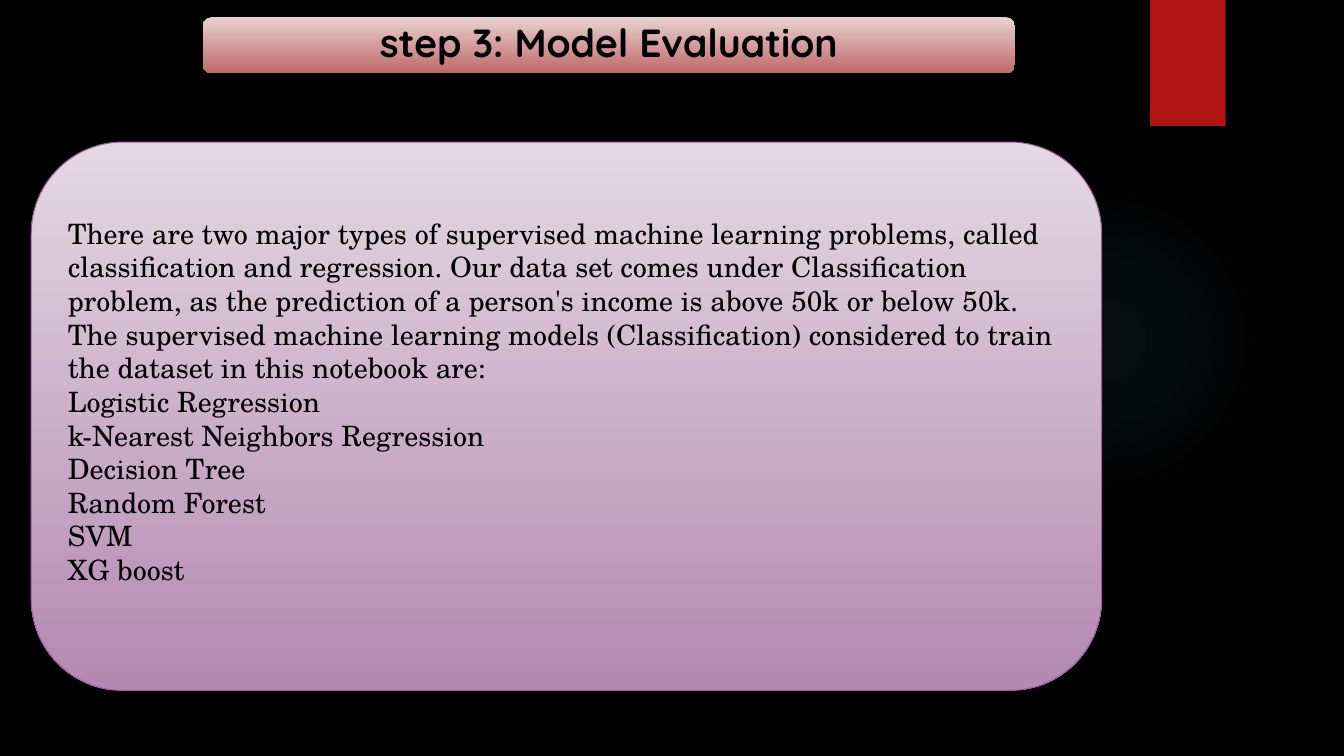
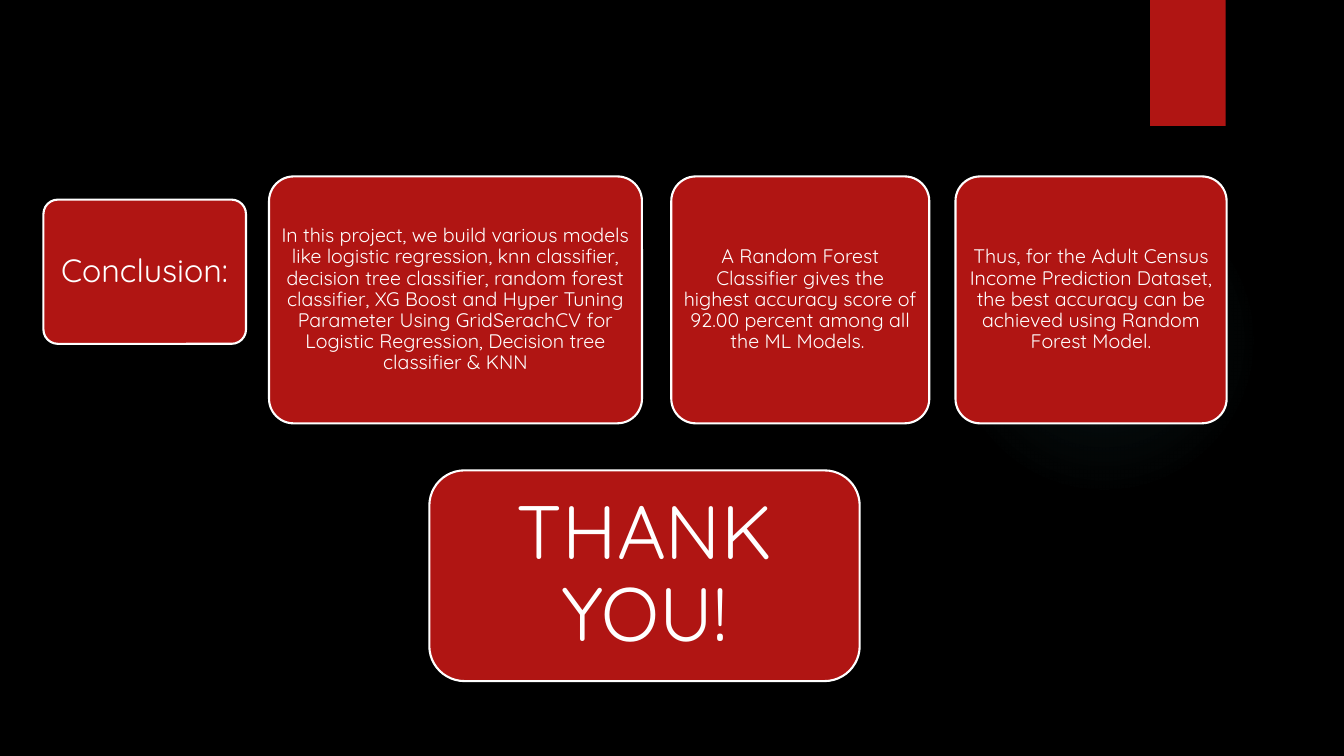
from pptx import Presentation
from pptx.dml.color import RGBColor
from pptx.enum import shapes, text
from pptx.oxml import parse_xml
from pptx.oxml import ns
from pptx.util import Pt

BLACK = RGBColor(0x00, 0x00, 0x00)
WHITE = RGBColor(0xFF, 0xFF, 0xFF)
RED = RGBColor(0xB0, 0x15, 0x13)
TEAL = RGBColor(0x50, 0xB9, 0xC1)
PINK = RGBColor(0xE8, 0xD1, 0xD0)
ROSE = RGBColor(0xC0, 0x69, 0x69)
LILAC = RGBColor(0xE4, 0xD8, 0xE3)
MAUVE = RGBColor(0xB4, 0x88, 0xB2)
PURPLE = RGBColor(0x9E, 0x5E, 0x9B)
SANS = "Quicksand"
SERIF = "TeX Gyre Schola"
ROUND = shapes.MSO_SHAPE.ROUNDED_RECTANGLE


def add_box(s, kind, at, colors, line=None, weight=1.5):
    sp = s.shapes.add_shape(kind, *[Pt(v) for v in at])
    sp.shadow.inherit = False
    if len(colors) == 1:
        sp.fill.solid()
        sp.fill.fore_color.rgb = colors[0]
    else:
        sp.fill.gradient()
        sp.fill.gradient_angle = 270
        for stop, color in zip(sp.fill.gradient_stops, colors):
            stop.color.rgb = color
    if line is None:
        sp.line.fill.background()
    else:
        sp.line.color.rgb = line
        sp.line.width = Pt(weight)
    return sp


def write(sp, lines, size, color, font=SANS, bold=False, spacing=0.9,
          align=text.PP_ALIGN.CENTER, insets=(2, 1.5, 2, 1.5)):
    tf = sp.text_frame
    tf.word_wrap = True
    tf.auto_size = text.MSO_AUTO_SIZE.NONE
    tf.vertical_anchor = text.MSO_ANCHOR.MIDDLE
    tf.margin_left, tf.margin_top, tf.margin_right, tf.margin_bottom = [Pt(v) for v in insets]
    for i, line in enumerate(lines):
        p = tf.paragraphs[0] if i == 0 else tf.add_paragraph()
        p.alignment = align
        p.line_spacing = spacing
        r = p.add_run()
        r.text = line
        r.font.name = font
        r.font.size = Pt(size)
        r.font.bold = bold
        r.font.color.rgb = color


prs = Presentation()
prs.slide_width, prs.slide_height = Pt(960), Pt(540)
layout = prs.slide_layouts[5]
background = prs.slide_master.background.fill
background.solid()
background.fore_color.rgb = BLACK

evaluation = prs.slides.add_slide(layout)
conclusion = prs.slides.add_slide(layout)

glow = add_box(evaluation, shapes.MSO_SHAPE.OVAL, (677.5, 131.8, 221.8, 221.8), [TEAL])
stops = "".join(
    f'<a:gs pos="{pos * 1000}"><a:srgbClr val="{TEAL}"><a:alpha val="{alpha * 1000}"/></a:srgbClr></a:gs>'
    for pos, alpha in [(0, 7), (36, 6), (69, 0)])
radial = parse_xml(
    f'<a:gradFill {ns.nsdecls("a")} rotWithShape="1"><a:gsLst>{stops}</a:gsLst><a:path path="circle">'
    '<a:fillToRect l="50000" t="50000" r="50000" b="50000"/></a:path></a:gradFill>')
solid = glow.element.spPr.find(ns.qn("a:solidFill"))
glow.element.spPr.replace(solid, radial)
tab = add_box(evaluation, shapes.MSO_SHAPE.RECTANGLE, (821.5, 0, 54, 90), [RED])
for shape_id, sp in enumerate([glow, tab], 101):
    sp.element.nvSpPr.cNvPr.set("id", str(shape_id))
    layout.shapes.element.append(sp.element)

bar = (144.7, 12.2, 580.3, 40.3)
label = (31, 142.6, 144.7, 103)
add_box(evaluation, ROUND, bar, [PINK, ROSE])
add_box(conclusion, ROUND, label, [RED], WHITE).adjustments[0] = 0.1
titles = [
    (evaluation, bar, "step 3: Model Evaluation", 28, BLACK, True),
    (conclusion, label, "Conclusion:", 23, WHITE, False),
]
for s, at, line, size, color, bold in titles:
    title = s.shapes.title
    title.left, title.top, title.width, title.height = [Pt(v) for v in at]
    write(title, [line], size, color, bold=bold)
    s.shapes.element.append(title.element)

panel = add_box(evaluation, ROUND, (22.3, 101.5, 764.6, 391.7), [LILAC, MAUVE], PURPLE, 0.75)
write(panel, [
    "There are two major types of supervised machine learning problems, called classification "
    "and regression. Our data set comes under Classification problem, as the prediction of a "
    "person's income is above 50k or below 50k. The supervised machine learning models "
    "(Classification) considered to train the dataset in this notebook are:",
    "Logistic Regression",
    "k-Nearest Neighbors Regression",
    "Decision Tree",
    "Random Forest",
    "SVM",
    "XG boost",
], 20, BLACK, SERIF, spacing=1.0, align=text.PP_ALIGN.LEFT, insets=(7.2, 3.6, 7.2, 25))

cards = [
    (192.2, 266.4, "In this project, we build various models like logistic regression, knn "
     "classifier, decision tree classifier, random forest classifier, XG Boost and Hyper Tuning "
     "Parameter Using GridSerachCV for Logistic Regression, Decision tree classifier & KNN"),
    (479.5, 184.3, "A Random Forest Classifier gives the highest accuracy score of 92.00 percent "
     "among all the ML Models. "),
    (682.5, 193.7, "Thus, for the Adult Census Income Prediction Dataset, the best accuracy can "
     "be achieved using Random Forest Model."),
]
for left, width, line in cards:
    card = add_box(conclusion, ROUND, (left, 126, width, 176.4), [RED], WHITE)
    card.adjustments[0] = 0.1
    write(card, [line], 14, WHITE)

thanks = add_box(conclusion, ROUND, (306.7, 336, 307.4, 150.5), [RED], WHITE)
write(thanks, ["THANK YOU!"], 54, WHITE, insets=(16.5, 8, 16.5, 8))

prs.save("out.pptx")
